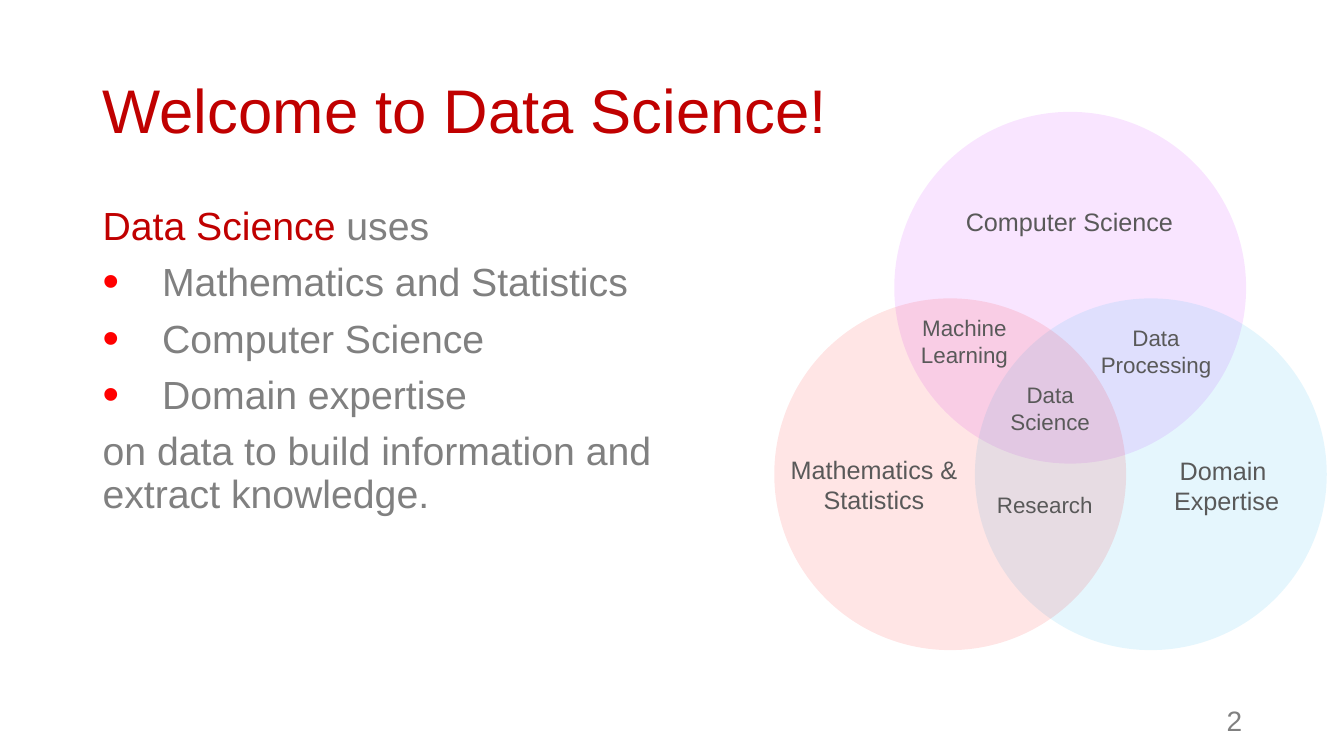
"""Build the Data Science welcome slide with its three-circle Venn diagram."""
from dataclasses import dataclass

from lxml import etree
from pptx import Presentation
from pptx.dml.color import RGBColor
from pptx.enum.shapes import MSO_SHAPE
from pptx.enum.text import MSO_ANCHOR, PP_ALIGN
from pptx.oxml.ns import qn
from pptx.util import Inches, Pt

CIRCLE = MSO_SHAPE.OVAL
TOP, MIDDLE = MSO_ANCHOR.TOP, MSO_ANCHOR.MIDDLE
LEFT, CENTER, RIGHT = PP_ALIGN.LEFT, PP_ALIGN.CENTER, PP_ALIGN.RIGHT


@dataclass(frozen=True)
class Theme:
    font: str = "Arial"
    accent: str = "C00000"
    body: str = "808080"
    label: str = "595959"
    bullet: str = "FF0000"
    title_size: int = 44
    body_size: int = 28
    number_size: int = 20
    field_size: int = 18
    overlap_size: int = 16
    circle_alpha: int = 10
    bullet_scale: int = 120
    indent: float = 0.59


THEME = Theme()
SLIDE_WIDTH, SLIDE_HEIGHT = Inches(13.33), Inches(7.5)

TITLE = "Welcome to Data Science!"
TERM, VERB = "Data Science ", "uses"
INGREDIENTS = ["Mathematics and Statistics", "Computer Science", "Domain expertise"]
PURPOSE = "on data to build information and\nextract knowledge."
PAGE_NUMBER = "2"

# Positions are percentages of the slide's width and height.
TITLE_AREA = (6.9, 5.33, 86.27, 19.33)
BODY_AREA = (6.9, 26.67, 86.27, 63.47)
NUMBER_AREA = (70.67, 92.67, 22.5, 5.33)
DIAMETER = 26.18
LOWER_ROW = 39.47
CIRCLES = [
    (66.54, 14.8, "CC00FF"),
    (72.54, LOWER_ROW, "00B0F0"),
    (57.61, LOWER_ROW, "FF0000"),
]
FIELDS = [
    ("Mathematics &\nStatistics", (57.76, 59.47, 14.55, 9.47), CENTER),
    ("Computer Science", (71.12, 26.67, 17.7, 5.33), LEFT),
    ("Domain \nExpertise", (85.75, 59.6, 11.03, 9.47), CENTER),
]
OVERLAP_WIDTH, OVERLAP_HEIGHT = 11.03, 8.53
OVERLAPS = [
    ("Data Processing", 80.5, 42.27, CENTER),
    ("Machine Learning", 66.24, 40.93, CENTER),
    ("Research", 73.44, 64.27, LEFT),
    ("Data Science", 72.62, 49.73, CENTER),
]


def across(percent):
    return round(SLIDE_WIDTH * percent / 100)


def down(percent):
    return round(SLIDE_HEIGHT * percent / 100)


def add_bullet(paragraph):
    properties = paragraph._p.get_or_add_pPr()
    indent = Inches(THEME.indent)
    properties.set("marL", str(indent))
    properties.set("indent", str(-indent))
    color = etree.SubElement(properties, qn("a:buClr"))
    etree.SubElement(color, qn("a:srgbClr"), val=THEME.bullet)
    etree.SubElement(properties, qn("a:buSzPct"), val=str(THEME.bullet_scale * 1000))
    etree.SubElement(properties, qn("a:buFont"), typeface=THEME.font)
    etree.SubElement(properties, qn("a:buChar"), char="•")


def add_text(slide, area, paragraphs, *, size, color, align=LEFT, anchor=TOP,
             line_spacing=None, space_before=None):
    """Write paragraphs given as (runs, bulleted), each run as (text, color or None)."""
    left, top, width, height = area
    frame = slide.shapes.add_textbox(
        across(left), down(top), across(width), down(height)).text_frame
    frame.word_wrap = True
    frame.vertical_anchor = anchor
    for index, (runs, bulleted) in enumerate(paragraphs):
        paragraph = frame.add_paragraph() if index else frame.paragraphs[0]
        paragraph.alignment = align
        if line_spacing:
            paragraph.line_spacing = line_spacing
        if space_before:
            paragraph.space_before = Pt(space_before)
        if bulleted:
            add_bullet(paragraph)
        for text, run_color in runs:
            for line_index, line in enumerate(text.split("\n")):
                if line_index:
                    paragraph.add_line_break()
                run = paragraph.add_run()
                run.text = line
                run.font.name = THEME.font
                run.font.size = Pt(size)
                run.font.color.rgb = RGBColor.from_string(run_color or color)


def plain(text):
    return [([(text, None)], False)]


def add_circle(slide, left, top, color):
    side = across(DIAMETER)
    circle = slide.shapes.add_shape(CIRCLE, across(left), down(top), side, side)
    circle.shadow.inherit = False
    circle.line.fill.background()
    circle.fill.solid()
    circle.fill.fore_color.rgb = RGBColor.from_string(color)
    tint = circle._element.spPr.find(qn("a:solidFill")).find(qn("a:srgbClr"))
    etree.SubElement(tint, qn("a:alpha"), val=str(THEME.circle_alpha * 1000))


def main():
    deck = Presentation()
    deck.slide_width, deck.slide_height = SLIDE_WIDTH, SLIDE_HEIGHT
    slide = deck.slides.add_slide(deck.slide_layouts[6])

    add_text(slide, TITLE_AREA, plain(TITLE), size=THEME.title_size,
             color=THEME.accent, anchor=MIDDLE, line_spacing=0.9)
    statement = [([(TERM, THEME.accent), (VERB, None)], False)]
    statement += [([(ingredient, None)], True) for ingredient in INGREDIENTS]
    statement += plain(PURPOSE)
    add_text(slide, BODY_AREA, statement, size=THEME.body_size, color=THEME.body,
             line_spacing=0.9, space_before=10)
    add_text(slide, NUMBER_AREA, plain(PAGE_NUMBER), size=THEME.number_size,
             color=THEME.body, align=RIGHT, anchor=MIDDLE)

    for left, top, color in CIRCLES:
        add_circle(slide, left, top, color)
    for field, area, align in FIELDS:
        add_text(slide, area, plain(field), size=THEME.field_size,
                 color=THEME.label, align=align)
    for overlap, left, top, align in OVERLAPS:
        add_text(slide, (left, top, OVERLAP_WIDTH, OVERLAP_HEIGHT), plain(overlap),
                 size=THEME.overlap_size, color=THEME.label, align=align)

    deck.save("out.pptx")


if __name__ == "__main__":
    main()
